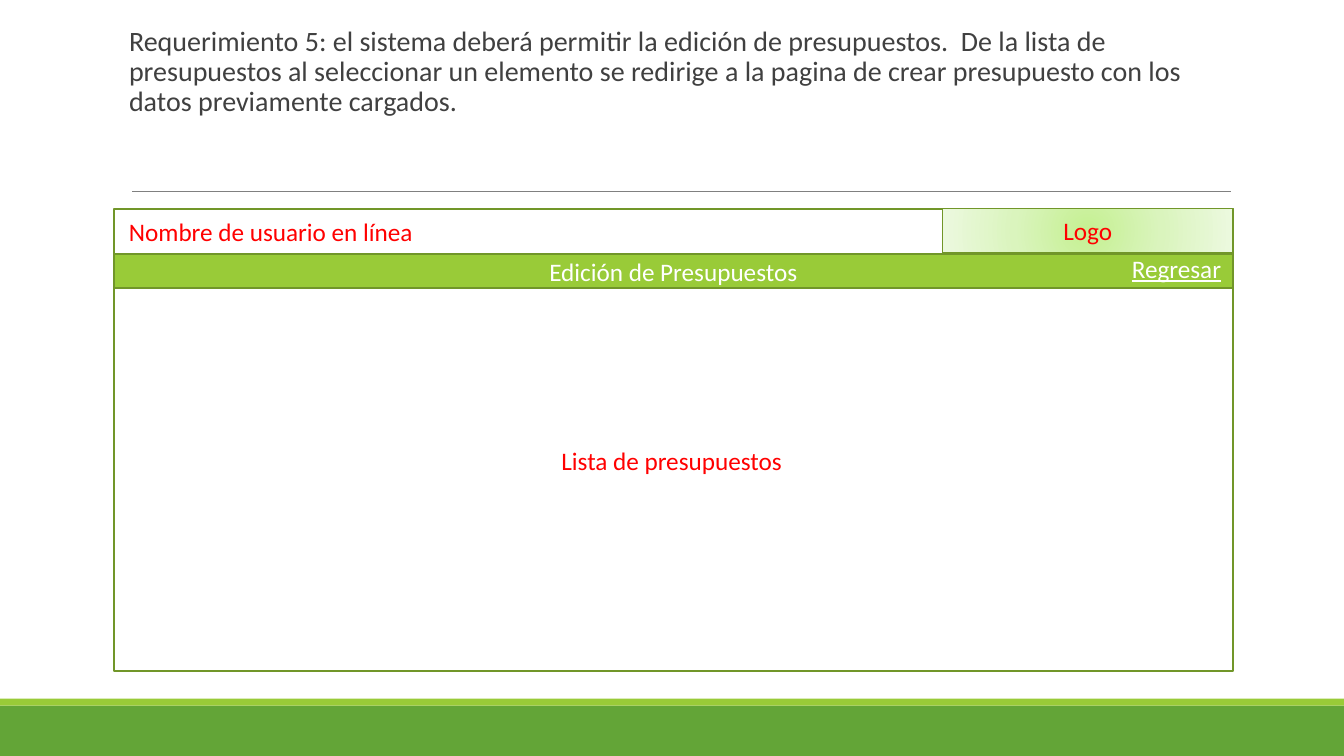
"""Build the budget editing requirement slide with its screen mock-up."""
import dataclasses
import typing

import lxml.etree
import pptx
import pptx.dml.color
import pptx.enum.shapes
import pptx.enum.text
import pptx.oxml
import pptx.oxml.ns
import pptx.util

COLORS = {
    "band": "63A537", "lime": "99CB38", "border": "719629", "rule": "808080",
    "body": "404040", "note": "FF0000", "white": "FFFFFF",
    "glow_center": "C5F092", "glow_middle": "DAF4BD", "glow_edge": "ECF9DF",
}
FONT = "Calibri"
WIDTH, HEIGHT = pptx.util.Inches(13.333), pptx.util.Inches(7.5)
FRAME_LEFT, FRAME_TOP, FRAME_WIDTH = 8.48, 27.6, 83.25
TEXT_LEFT, LABEL_HEIGHT = 8.85, 5.33
LOGO_WIDTH = 21.6
REQUIREMENT = (
    "Requerimiento 5: el sistema deberá permitir la edición de presupuestos.  "
    "De la lista de presupuestos al seleccionar un elemento se redirige a la pagina "
    "de crear presupuesto con los datos previamente cargados."
)


@dataclasses.dataclass(frozen=True)
class Area:
    """Position and size in percent of the slide."""
    left: float
    top: float
    width: float
    height: float

    def lengths(self) -> tuple[int, int, int, int]:
        """Return left, top, width and height as slide lengths."""
        return (across(self.left), down(self.top), across(self.width), down(self.height))


@dataclasses.dataclass(frozen=True)
class Panel:
    """Rectangle with optional fill, border and centred text."""
    area: Area
    fill: typing.Optional[str] = None
    border: typing.Optional[str] = None
    text: str = ""
    color: str = "white"


@dataclasses.dataclass(frozen=True)
class Label:
    """Single line of free text."""
    area: Area
    text: str
    color: str
    underline: bool = False


BANDS = (
    Panel(Area(0, 93.33, 100, 6.67), "band"),
    Panel(Area(0, 92.4, 100, 0.93), "lime"),
)
FRAME = Panel(Area(FRAME_LEFT, FRAME_TOP, FRAME_WIDTH, 61.2), border="border")
LOGO = Panel(Area(FRAME_LEFT + FRAME_WIDTH - LOGO_WIDTH, FRAME_TOP, LOGO_WIDTH, 5.87),
             border="border", text="Logo", color="note")
HEADING = Panel(Area(FRAME_LEFT, 33.6, FRAME_WIDTH, 4.53), "lime", "border",
                "Edición de Presupuestos")
USER = Label(Area(TEXT_LEFT, 28, 22.88, LABEL_HEIGHT), "Nombre de usuario en línea", "note")
BACK = Label(Area(83.48, 32.8, 8.25, LABEL_HEIGHT), "Regresar", "white", True)
BUDGETS = Label(Area(41.03, 58.27, 18.15, LABEL_HEIGHT), "Lista de presupuestos", "note")


def across(share: float) -> int:
    """Turn a percentage of the slide width into a length."""
    return round(WIDTH * share / 100)


def down(share: float) -> int:
    """Turn a percentage of the slide height into a length."""
    return round(HEIGHT * share / 100)


def rgb(name: str) -> pptx.dml.color.RGBColor:
    """Look up a named colour."""
    return pptx.dml.color.RGBColor.from_string(COLORS[name])


def add_run(paragraph, text: str, size: float, color: str, underline: bool = False) -> None:
    """Append a formatted run to a paragraph."""
    run = paragraph.add_run()
    run.text = text
    run.font.name = FONT
    run.font.size = pptx.util.Pt(size)
    run.font.color.rgb = rgb(color)
    if underline:
        run.font.underline = True


def add_panel(slide, panel: Panel):
    """Draw a rectangle and return its shape."""
    shape = slide.shapes.add_shape(
        pptx.enum.shapes.MSO_SHAPE.RECTANGLE, *panel.area.lengths())
    shape.shadow.inherit = False
    if panel.fill:
        shape.fill.solid()
        shape.fill.fore_color.rgb = rgb(panel.fill)
    else:
        shape.fill.background()
    if panel.border:
        shape.line.color.rgb = rgb(panel.border)
        shape.line.width = pptx.util.Pt(1.25)
    else:
        shape.line.fill.background()
    if panel.text:
        shape.text_frame.vertical_anchor = pptx.enum.text.MSO_ANCHOR.MIDDLE
        paragraph = shape.text_frame.paragraphs[0]
        paragraph.alignment = pptx.enum.text.PP_ALIGN.CENTER
        add_run(paragraph, panel.text, 18, panel.color)
    return shape


def add_glow(shape) -> None:
    """Replace the fill of a shape with a circular gradient."""
    stops = "".join(
        f'<a:gs pos="{position}"><a:srgbClr val="{COLORS[name]}"/></a:gs>'
        for position, name in ((0, "glow_center"), (50000, "glow_middle"), (100000, "glow_edge")))
    gradient = pptx.oxml.parse_xml(
        f'<a:gradFill {pptx.oxml.ns.nsdecls("a")} rotWithShape="1"><a:gsLst>{stops}</a:gsLst>'
        '<a:path path="circle"><a:fillToRect l="50000" t="50000" r="50000" b="50000"/></a:path>'
        '</a:gradFill>')
    properties = shape.element.spPr
    properties.replace(properties.find(pptx.oxml.ns.qn("a:noFill")), gradient)


def add_label(slide, label: Label) -> None:
    """Draw a text box that grows with its single line."""
    frame = slide.shapes.add_textbox(*label.area.lengths()).text_frame
    frame.word_wrap = False
    frame.auto_size = pptx.enum.text.MSO_AUTO_SIZE.SHAPE_TO_FIT_TEXT
    add_run(frame.paragraphs[0], label.text, 18, label.color, label.underline)


def add_rule(slide, left: float, right: float, top: float) -> None:
    """Draw the thin horizontal line under the requirement."""
    connector = slide.shapes.add_connector(
        pptx.enum.shapes.MSO_CONNECTOR.STRAIGHT,
        across(left), down(top), across(right), down(top))
    connector.line.color.rgb = rgb("rule")
    connector.line.width = pptx.util.Pt(0.5)
    lxml.etree.SubElement(connector.element.spPr, pptx.oxml.ns.qn("a:effectLst"))


def write_requirement(shape) -> None:
    """Place and format the body placeholder."""
    shape.left, shape.top, shape.width, shape.height = Area(TEXT_LEFT, 2.93, 82.5, 20).lengths()
    frame = shape.text_frame
    frame.auto_size = pptx.enum.text.MSO_AUTO_SIZE.NONE
    frame.word_wrap = True
    frame.margin_left = frame.margin_right = 0
    frame.margin_top = frame.margin_bottom = pptx.util.Inches(0.05)
    paragraph = frame.paragraphs[0]
    paragraph.line_spacing = 0.9
    paragraph.space_before = pptx.util.Pt(12)
    paragraph.space_after = pptx.util.Pt(2)
    add_run(paragraph, REQUIREMENT, 20, "body")
    properties = paragraph._p.get_or_add_pPr()
    indent = pptx.util.Inches(0.1)
    properties.set("marL", str(indent))
    properties.set("indent", str(-indent))
    color = lxml.etree.SubElement(properties, pptx.oxml.ns.qn("a:buClr"))
    lxml.etree.SubElement(color, pptx.oxml.ns.qn("a:srgbClr"), val=COLORS["lime"])
    lxml.etree.SubElement(properties, pptx.oxml.ns.qn("a:buChar"), char=" ")


def build() -> None:
    """Assemble and save the presentation."""
    presentation = pptx.Presentation()
    presentation.slide_width, presentation.slide_height = WIDTH, HEIGHT
    slide = presentation.slides.add_slide(presentation.slide_layouts[1])
    title = slide.shapes.title.element
    title.getparent().remove(title)
    for band in BANDS:
        add_panel(slide, band)
    add_rule(slide, 9.83, 91.58, 25.33)
    write_requirement(slide.placeholders[1])
    add_panel(slide, FRAME)
    add_glow(add_panel(slide, LOGO))
    add_label(slide, USER)
    add_panel(slide, HEADING)
    for label in (BACK, BUDGETS):
        add_label(slide, label)
    presentation.save("out.pptx")


build()
